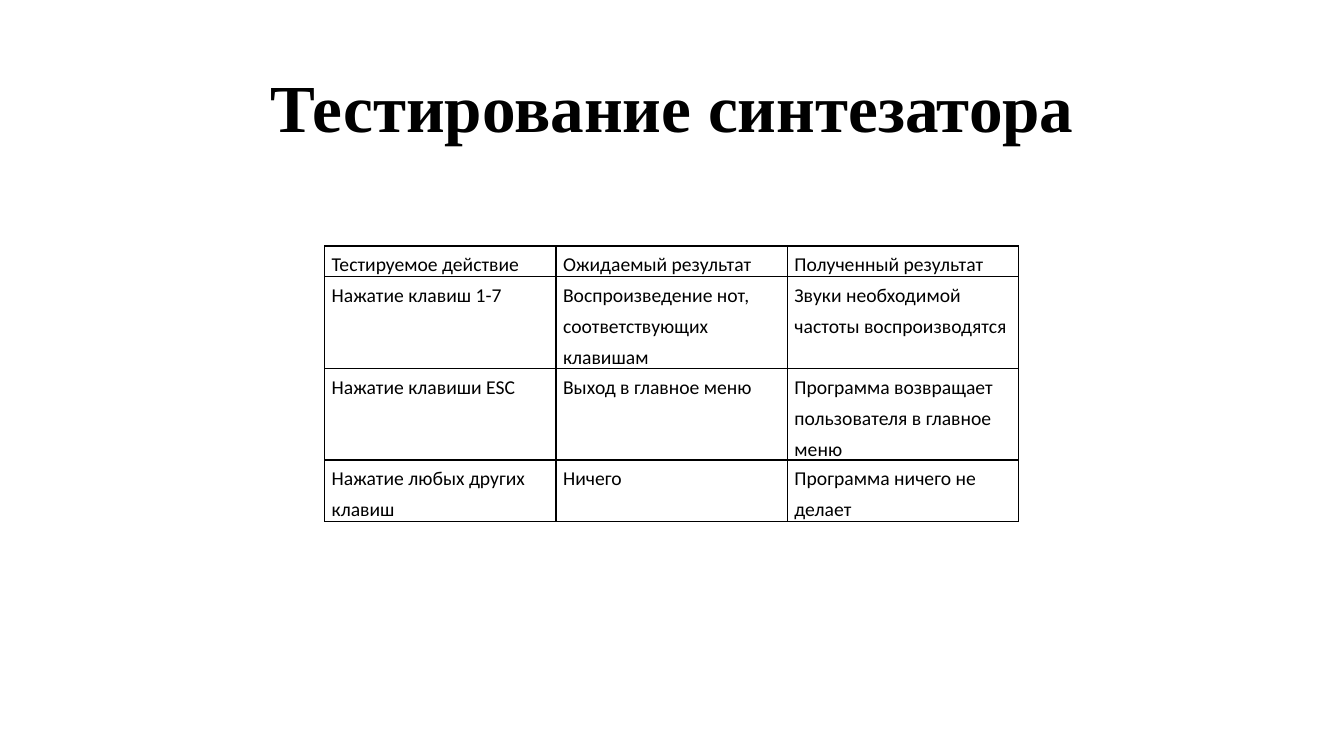
from pptx import Presentation
from pptx.dml.color import RGBColor
from pptx.enum.text import MSO_AUTO_SIZE, PP_ALIGN
from pptx.oxml.ns import qn
from pptx.util import Inches, Pt
from lxml.etree import SubElement

TITLE = "Тестирование синтезатора"
TESTS = [
    ("Тестируемое действие", "Ожидаемый результат", "Полученный результат"),
    ("Нажатие клавиш 1-7", "Воспроизведение нот, соответствующих клавишам",
     "Звуки необходимой частоты воспроизводятся"),
    ("Нажатие клавиши ESC", "Выход в главное меню",
     "Программа возвращает пользователя в главное меню"),
    ("Нажатие любых других клавиш", "Ничего", "Программа ничего не делает"),
]
ROW_LINES = (1, 3, 3, 2)
LINE_HEIGHT = 0.3
COLUMN_WIDTH = 2.295
TABLE_LEFT, TABLE_TOP = 3.22, 2.44
BLACK = RGBColor(0, 0, 0)
TITLE_FONT = {"name": "Times New Roman", "size": Pt(48), "bold": True}
CELL_FONT = {"name": "Calibri", "size": Pt(14), "bold": False}
CELL_MARGINS = {"margin_left": Inches(0.07), "margin_right": Inches(0.07),
                "margin_top": 0, "margin_bottom": 0}
BORDERS = ("a:lnL", "a:lnR", "a:lnT", "a:lnB")


def set_all(target, values):
    for name, value in values.items():
        setattr(target, name, value)


def write(para, text, font):
    span = para.add_run()
    span.text = text
    set_all(span.font, font)
    span.font.color.rgb = BLACK


def add_borders(cell):
    properties = cell._tc.get_or_add_tcPr()
    for position, tag in enumerate(BORDERS):
        line = properties.makeelement(qn(tag), {"w": str(Pt(1))})
        properties.insert(position, line)
        fill = SubElement(line, qn("a:solidFill"))
        SubElement(fill, qn("a:srgbClr"), val=str(BLACK))


def add_title(page):
    box = page.shapes.add_textbox(Inches(2.42), Inches(0.6), Inches(8.5), Inches(0.91))
    frame = box.text_frame
    set_all(frame, {"word_wrap": True, "auto_size": MSO_AUTO_SIZE.SHAPE_TO_FIT_TEXT})
    para = frame.paragraphs[0]
    para.alignment = PP_ALIGN.CENTER
    write(para, TITLE, TITLE_FONT)


def add_tests(page):
    columns = len(TESTS[0])
    table = page.shapes.add_table(
        len(TESTS), columns, Inches(TABLE_LEFT), Inches(TABLE_TOP),
        Inches(COLUMN_WIDTH * columns), Inches(LINE_HEIGHT * sum(ROW_LINES))).table
    set_all(table, {"first_row": False, "horz_banding": False})
    for column in table.columns:
        column.width = Inches(COLUMN_WIDTH)
    for row, lines, texts in zip(table.rows, ROW_LINES, TESTS):
        row.height = Inches(LINE_HEIGHT * lines)
        for cell, text in zip(row.cells, texts):
            set_all(cell, CELL_MARGINS)
            cell.fill.background()
            add_borders(cell)
            para = cell.text_frame.paragraphs[0]
            para.line_spacing = 1.3
            write(para, text, CELL_FONT)


def main():
    deck = Presentation()
    set_all(deck, {"slide_width": Inches(13.33), "slide_height": Inches(7.5)})
    page = deck.slides.add_slide(deck.slide_layouts[6])
    add_title(page)
    add_tests(page)
    deck.save("out.pptx")


if __name__ == "__main__":
    main()
